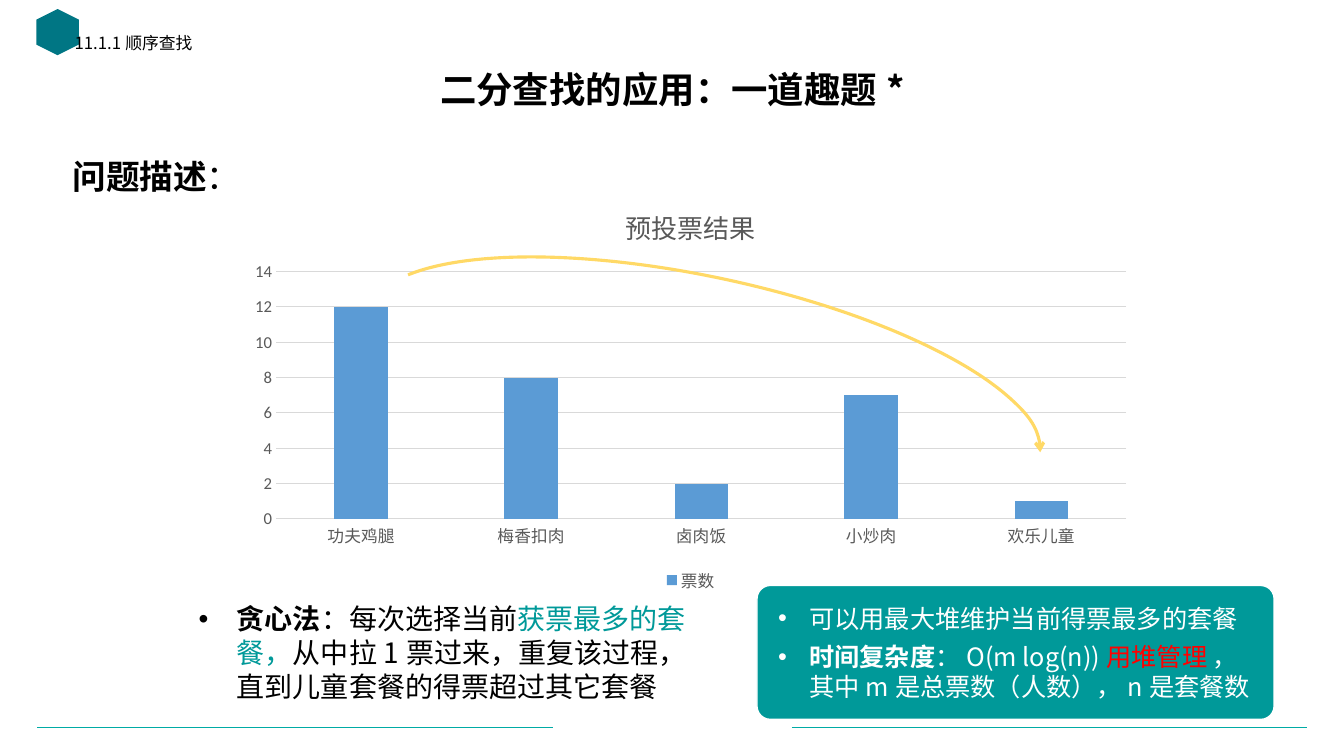
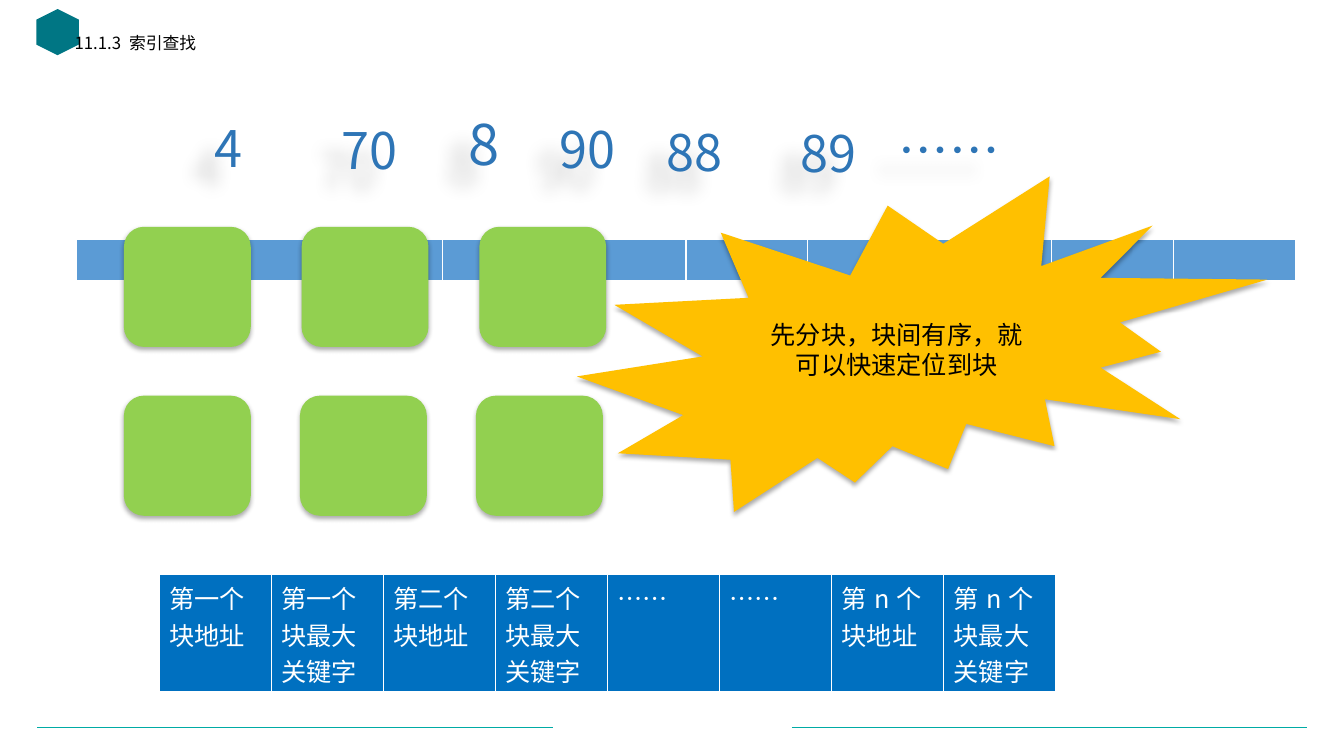
from typing import NamedTuple

from lxml.etree import SubElement
from pptx import Presentation
from pptx.chart.data import CategoryChartData
from pptx.dml.color import RGBColor
from pptx.enum.chart import XL_CHART_TYPE, XL_LEGEND_POSITION, XL_TICK_MARK
from pptx.enum.shapes import MSO_CONNECTOR, MSO_SHAPE
from pptx.enum.text import MSO_ANCHOR, PP_ALIGN
from pptx.oxml.ns import qn
from pptx.util import Inches, Pt

# Grid: 32 columns by 18 rows of square cells
WIDTH, HEIGHT = Inches(13.33), Inches(7.5)
CELL = HEIGHT / 18
FONT = "Noto Sans CJK SC"
CHART_FONT = "Calibri"
COLORS = {
    "black": "000000", "white": "FFFFFF", "red": "FF0000",
    "rule": "00ABA5", "mark": "007684", "teal": "009999",
    "bar": "5B9BD5", "index": "0070C0", "key": "2E75B6",
    "block": "92D050", "burst": "FFC000", "arc": "FFD966",
    "axis": "D9D9D9", "label": "595959",
}


class Box(NamedTuple):
    """A region in grid cells."""
    col: float
    row: float
    cols: float
    rows: float

    def inside(self, col, row, cols, rows):
        return Box(self.col + col, self.row + row, cols, rows)

    def emu(self):
        return [round(length * CELL) for length in self]


PAGE = Box(0, 0, 32, 18)


def rgb(name):
    return RGBColor.from_string(COLORS[name])


# Text

def add_span(para, text, size, color="black", bold=False):
    span = para.add_run()
    span.text = text
    font = span.font
    font.size, font.bold, font.name = Pt(size), bold, FONT
    font.color.rgb = rgb(color)
    SubElement(font._element, qn("a:ea"), typeface=FONT)


def add_bullet(para, indent):
    props = para._p.get_or_add_pPr()
    props.set("marL", str(Inches(indent)))
    props.set("indent", str(-Inches(indent)))
    SubElement(props, qn("a:buFont"), typeface="Arial")
    SubElement(props, qn("a:buChar"), char="•")


def add_text(page, box, spans, size, anchor=MSO_ANCHOR.TOP,
             align=PP_ALIGN.LEFT, spacing=1.0, indent=0):
    """Put one paragraph in a text box; spans are (text, color, bold)."""
    shape = page.shapes.add_textbox(*box.emu())
    frame = shape.text_frame
    frame.word_wrap = True
    frame.vertical_anchor = anchor
    para = frame.paragraphs[0]
    if indent:
        add_bullet(para, indent)
    para.alignment, para.line_spacing = align, spacing
    for text, color, bold in spans:
        add_span(para, text, size, color, bold)
    return shape


# Shapes

def add_shadow(shape, blur, distance, angle, opacity):
    shape.shadow.inherit = False
    effects = shape._element.spPr.find(qn("a:effectLst"))
    shadow = SubElement(effects, qn("a:outerShdw"), blurRad=str(Pt(blur)),
                        dist=str(Pt(distance)), dir=str(angle * 60000),
                        algn="ctr", rotWithShape="0")
    color = SubElement(shadow, qn("a:srgbClr"), val=COLORS["black"])
    SubElement(color, qn("a:alpha"), val=str(opacity * 1000))


def add_filled(page, kind, box, color):
    shape = page.shapes.add_shape(kind, *box.emu())
    shape.shadow.inherit = False
    shape.fill.solid()
    shape.fill.fore_color.rgb = rgb(color)
    shape.line.fill.background()
    return shape


def add_raised(page, kind, box, color):
    shape = add_filled(page, kind, box, color)
    add_shadow(shape, 3.5, 2.2, 90, 32)
    return shape


def add_row_table(page, box, texts, color):
    table = page.shapes.add_table(1, len(texts), *box.emu()).table
    for cell, text in zip(table.rows[0].cells, texts):
        cell.fill.solid()
        cell.fill.fore_color.rgb = rgb(color)
        if text:
            add_span(cell.text_frame.paragraphs[0], text, 18, "white")


# Shared frame: mark, section name and two footer rules

def add_page(deck, section):
    page = deck.slides.add_slide(deck.slide_layouts[6])
    for left in (0.89, 18.85):
        rule = PAGE.inside(left, 17.33, 12.27, 0)
        x, y, length, _ = rule.emu()
        line = page.shapes.add_connector(MSO_CONNECTOR.STRAIGHT,
                                         x, y, x + length, y)
        line.line.color.rgb = rgb("rule")
        line.line.width = Pt(0.5)
        SubElement(line._element.spPr, qn("a:effectLst"))
    mark = add_filled(page, MSO_SHAPE.HEXAGON,
                      PAGE.inside(0.82, 0.26, 1.1, 1.01), "mark")
    mark.rotation = 90
    add_text(page, PAGE.inside(1.54, 0.72, 12.77, 0.86),
             [(section, "black", False)], 12, spacing=0.9)
    return page


# Vote slide

def style_axis(axis):
    font = axis.tick_labels.font
    font.size, font.name = Pt(11.9), CHART_FONT
    font.color.rgb = rgb("label")
    axis.major_tick_mark = axis.minor_tick_mark = XL_TICK_MARK.NONE


def add_vote_chart(page, box):
    data = CategoryChartData()
    data.categories = ["功夫鸡腿", "梅香扣肉", "卤肉饭", "小炒肉", "欢乐儿童"]
    data.add_series("票数", [12, 8, 2, 7, 1])
    chart = page.shapes.add_chart(XL_CHART_TYPE.COLUMN_CLUSTERED,
                                  *box.emu(), data).chart
    chart.font.size, chart.font.name = Pt(10), CHART_FONT

    # Title and legend
    title = chart.chart_title.text_frame.paragraphs[0].add_run()
    title.text = "预投票结果"
    chart.has_legend = True
    chart.legend.position = XL_LEGEND_POSITION.BOTTOM
    chart.legend.include_in_layout = False
    for font, size in ((title.font, 18.6), (chart.legend.font, 11.9)):
        font.size, font.name, font.bold = Pt(size), CHART_FONT, False
        font.color.rgb = rgb("label")

    # Axes
    values, names = chart.value_axis, chart.category_axis
    style_axis(values)
    style_axis(names)
    values.minimum_scale, values.maximum_scale = 0, 14
    values.major_unit = 2
    values.format.line.fill.background()
    for line in (values.major_gridlines.format.line, names.format.line):
        line.color.rgb = rgb("axis")
        line.width = Pt(0.75)

    # Bars
    plot = chart.plots[0]
    plot.vary_by_categories = False
    plot.gap_width, plot.overlap = 219, -27
    fill = plot.series[0].format.fill
    fill.solid()
    fill.fore_color.rgb = rgb("bar")

    # Arrow from the leader to the last choice
    arc = page.shapes.add_shape(
        MSO_SHAPE.ARC, *box.inside(2.95, 2.16, 16.34, 5.09).emu())
    arc.adjustments[0], arc.adjustments[1] = 112.84, 215.56
    arc.rotation = 12.2
    arc.shadow.inherit = False
    arc.fill.background()
    arc.line.color.rgb = rgb("arc")
    arc.line.width = Pt(2.25)
    SubElement(arc.line._get_or_add_ln(), qn("a:tailEnd"), type="arrow")


def add_heap_note(page, box):
    note = add_filled(page, MSO_SHAPE.ROUNDED_RECTANGLE, box, "teal")
    note.adjustments[0] = 0.1
    note.line.color.rgb = rgb("white")
    note.line.width = Pt(1)
    frame = note.text_frame
    frame.word_wrap = True
    frame.vertical_anchor = MSO_ANCHOR.MIDDLE
    frame.margin_left = frame.margin_right = Inches(0.17)
    frame.margin_top = frame.margin_bottom = Inches(0.17)
    points = [
        [("可以用最大堆维护当前得票最多的套餐", "white", False)],
        [("时间复杂度", "white", True), ("：O(m log(n))", "white", False),
         ("用堆管理 ", "red", False),
         ("，其中m是总票数（人数），n是套餐数", "white", False)],
    ]
    for number, spans in enumerate(points):
        para = frame.add_paragraph() if number else frame.paragraphs[0]
        add_bullet(para, 0.31)
        para.alignment = PP_ALIGN.LEFT
        para.space_after = Pt(6)
        for text, color, bold in spans:
            add_span(para, text, 18, color, bold)


def build_vote_slide(deck):
    page = add_page(deck, "11.1.1顺序查找")
    add_text(page, PAGE.inside(2.21, 1.49, 27.6, 1.37),
             [("二分查找的应用：一道趣题*", "black", True)], 26,
             MSO_ANCHOR.MIDDLE, PP_ALIGN.CENTER, 0.9)
    add_text(page, PAGE.inside(1.49, 3.79, 29.88, 1.03),
             [("问题描述", "black", True), ("：", "black", False)], 24,
             spacing=0.8)
    add_vote_chart(page, PAGE.inside(5.64, 4.44, 21.6, 9.77))
    add_text(page, PAGE.inside(4.49, 14.21, 12.38, 2.66),
             [("贪心法", "black", True), ("：每次选择当前", "black", False),
              ("获票最多的套餐，", "teal", False),
              ("从中拉1票过来，重复该过程，直到儿童套餐的得票超过其它套餐",
               "black", False)], 20, indent=0.38)
    add_heap_note(page, PAGE.inside(18.02, 13.94, 12.31, 3.19))


# Index slide

def add_blocks(page, box):
    for row, pitch in ((0, 4.23), (4.02, 4.19)):
        for number in range(3):
            add_raised(page, MSO_SHAPE.ROUNDED_RECTANGLE,
                       box.inside(number * pitch, row, 3.02, 2.86), "block")


def add_burst(page, box):
    burst = add_raised(page, MSO_SHAPE.EXPLOSION2, box, "burst")
    frame = burst.text_frame
    frame.word_wrap = True
    frame.vertical_anchor = MSO_ANCHOR.MIDDLE
    para = frame.paragraphs[0]
    para.alignment = PP_ALIGN.CENTER
    add_span(para, "先分块，块间有序，就可以快速定位到块", 18)


def add_keys(page, box):
    """Scatter the keys; each has a centre column and a bottom row."""
    keys = [("4", 5.45, 1.85, 36), ("70", 8.79, 1.9, 36),
            ("8", 11.53, 1.83, 40), ("90", 13.98, 1.88, 36),
            ("88", 16.54, 1.95, 36), ("89", 19.73, 1.97, 36),
            ("……", 22.59, 1.9, 36)]
    for text, centre, bottom, size in keys:
        key = add_text(page, box.inside(centre - 2, bottom - 1.9, 4, 1.9),
                       [(text, "key", False)], size, MSO_ANCHOR.BOTTOM,
                       PP_ALIGN.CENTER, 0.9)
        add_shadow(key, 12, 21, 138, 18)


def build_index_slide(deck):
    page = add_page(deck, "11.1.3 索引查找")
    add_row_table(page, PAGE.inside(1.82, 5.71, 29.02, 0.98),
                  [""] * 10, "bar")
    add_blocks(page, PAGE.inside(2.95, 5.4, 11.5, 6.88))
    add_row_table(page, PAGE.inside(3.79, 13.68, 21.34, 2.78),
                  ["第一个块地址", "第一个块最大关键字",
                   "第二个块地址", "第二个块最大关键字", "……", "……",
                   "第n个块地址", "第n个块最大关键字"], "index")
    add_burst(page, PAGE.inside(13.73, 4.2, 16.44, 7.99))
    add_keys(page, PAGE.inside(0, 2.52, 32, 2))


def main():
    deck = Presentation()
    deck.slide_width, deck.slide_height = WIDTH, HEIGHT
    build_vote_slide(deck)
    build_index_slide(deck)
    deck.save("out.pptx")


if __name__ == "__main__":
    main()
